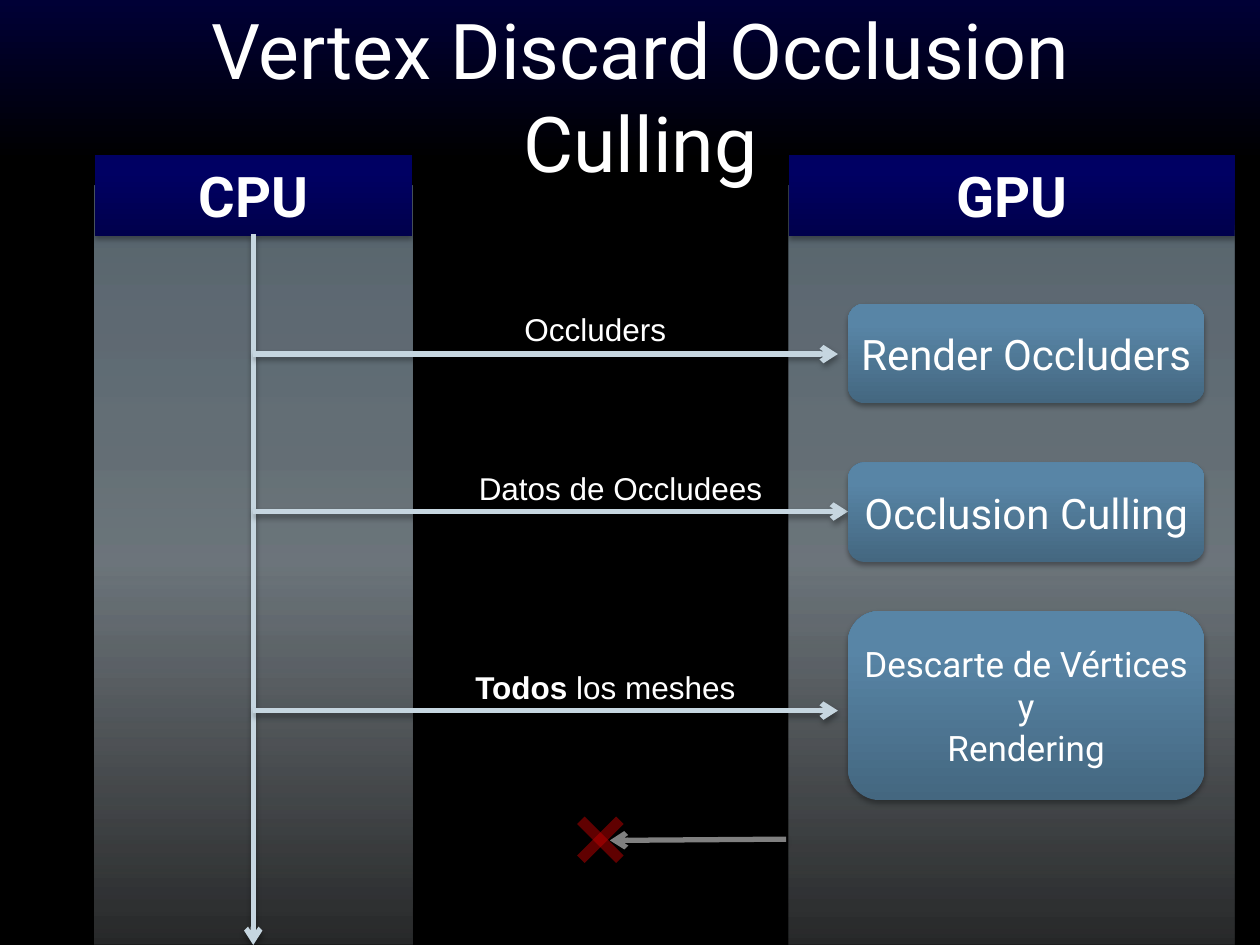
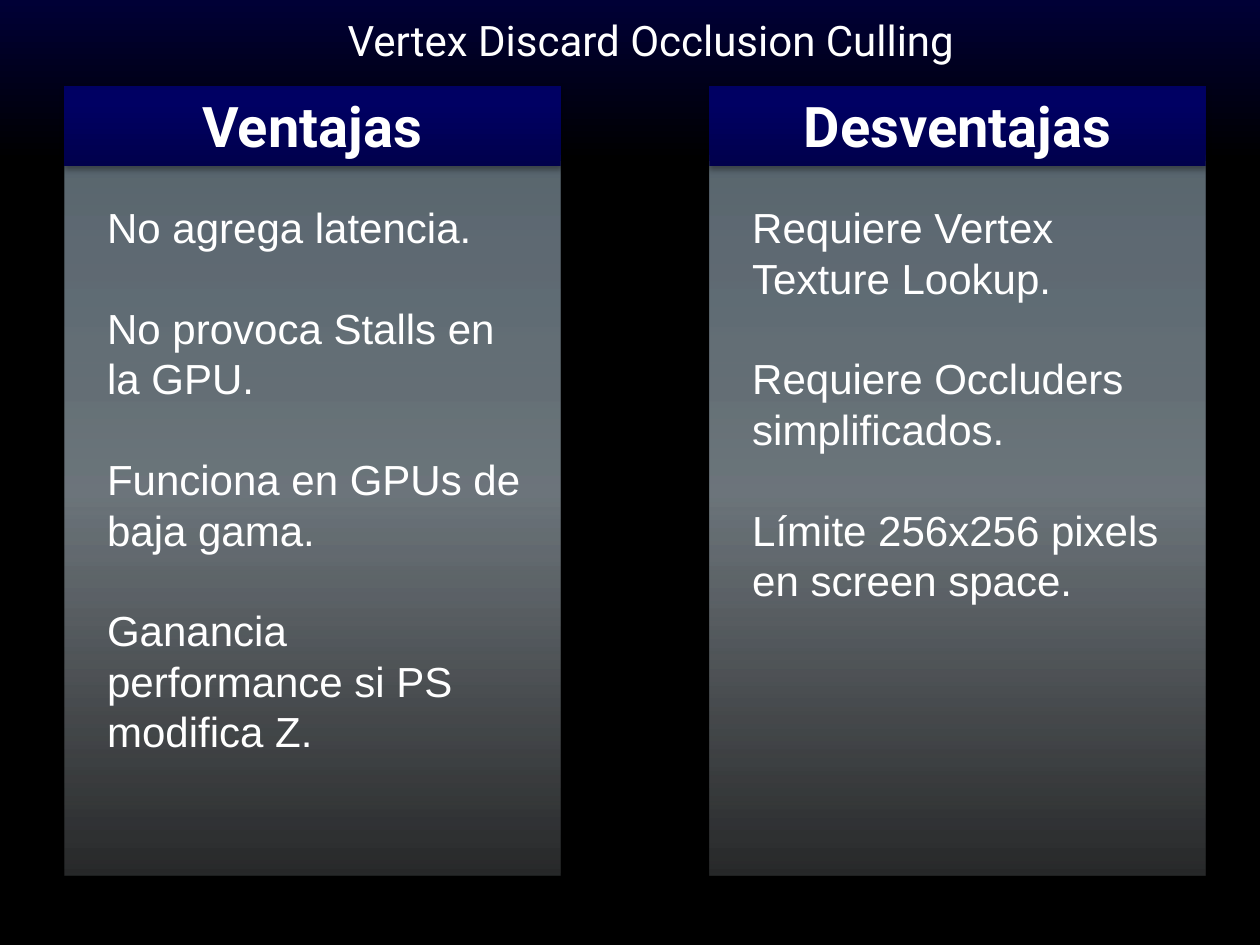
from dataclasses import dataclass

from lxml import etree
from pptx import Presentation
from pptx import util as u
from pptx.dml.color import RGBColor
from pptx.enum import shapes, text
from pptx.oxml import ns


@dataclass(frozen=True)
class Theme:
    white: str = "FFFFFF"
    arrow: str = "C6D6E0"
    cross: str = "C00000"
    shadow: str = "000000"
    background: tuple = ((0, "000036", 100), (17, "000000", 100), (100, "000000", 100))
    panel: tuple = ((0, "B6D3E6", 47), (50, "D1E2EE", 51), (100, "E8F0F6", 16))
    header: tuple = ((0, "00004C", 100), (80, "000063", 100), (100, "000063", 100))
    stage: tuple = ((0, "446780", 100), (80, "5885A6", 100), (100, "5786A8", 100))
    heading_font: str = "Roboto"
    body_font: str = "Arial"
    title_size: float = 44
    header_size: float = 32
    body_size: float = 24
    small_stage_size: float = 20
    label_size: float = 18
    line_pitch: float = 28.8


THEME = Theme()
TITLE = "Vertex Discard Occlusion Culling"
DOWN, UP = 90, 270


def child(parent, tag, **attributes):
    element = etree.SubElement(parent, ns.qn(tag))
    for name, value in attributes.items():
        element.set(name, str(value))
    return element


def add_color(parent, color, opacity=100):
    color_element = child(parent, "a:srgbClr", val=color)
    if opacity < 100:
        child(color_element, "a:alpha", val=opacity * 1000)


def set_gradient(fill, properties, stops, angle):
    fill.solid()
    solid = properties.find(ns.qn("a:solidFill"))
    gradient = etree.Element(ns.qn("a:gradFill"), rotWithShape="1")
    stop_list = child(gradient, "a:gsLst")
    for position, color, opacity in stops:
        add_color(child(stop_list, "a:gs", pos=position * 1000), color, opacity)
    child(gradient, "a:lin", ang=angle * 60000, scaled=0)
    properties.replace(solid, gradient)


def set_effects(properties, shadow):
    effects = child(properties, "a:effectLst")
    if shadow:
        outer = child(effects, "a:outerShdw", blurRad=u.Pt(3.1), dist=u.Pt(1.8),
                      dir=DOWN * 60000, rotWithShape=0)
        add_color(outer, THEME.shadow, 35)


def format_runs(paragraph, font, size, bold=False):
    for run in paragraph.runs:
        run.font.name = font
        run.font.size = u.Pt(size)
        run.font.bold = bold
        run.font.color.rgb = RGBColor.from_string(THEME.white)


def place(shape, left, top, width, height):
    shape.left, shape.top = u.Inches(left), u.Inches(top)
    shape.width, shape.height = u.Inches(width), u.Inches(height)


def set_title(slide, left, top, size):
    title = slide.shapes.title
    place(title, left, top, 8.67, 1.17)
    frame = title.text_frame
    frame.text = TITLE
    frame.auto_size = text.MSO_AUTO_SIZE.NONE
    frame.vertical_anchor = text.MSO_ANCHOR.MIDDLE
    frame.paragraphs[0].alignment = text.PP_ALIGN.CENTER
    format_runs(frame.paragraphs[0], THEME.heading_font, size)


def add_block(slide, kind, box, stops, angle, shadow=True):
    shape = slide.shapes.add_shape(kind, *map(u.Inches, box))
    properties = shape.element.spPr
    set_gradient(shape.fill, properties, stops, angle)
    shape.line.fill.background()
    set_effects(properties, shadow)
    return shape


def write_centered(shape, wording, size, anchor, wrap, bold=False):
    frame = shape.text_frame
    frame.text = wording
    frame.word_wrap = wrap
    frame.vertical_anchor = anchor
    for paragraph in frame.paragraphs:
        paragraph.alignment = text.PP_ALIGN.CENTER
        format_runs(paragraph, THEME.heading_font, size, bold)


def add_column(slide, left, top, width, heading):
    rectangle = shapes.MSO_SHAPE.RECTANGLE
    add_block(slide, rectangle, (left, top + 0.24, width, 6.03), THEME.panel, DOWN, shadow=False)
    header = add_block(slide, rectangle, (left, top, width, 0.64), THEME.header, UP)
    write_centered(header, heading, THEME.header_size, text.MSO_ANCHOR.TOP, True, bold=True)


def add_stage(slide, top, height, wording, size):
    stage = add_block(slide, shapes.MSO_SHAPE.ROUNDED_RECTANGLE,
                      (6.73, top, 2.83, height), THEME.stage, UP)
    write_centered(stage, wording, size, text.MSO_ANCHOR.MIDDLE, False)


def add_line(slide, start, end, color, width=3, opacity=100, arrow=True):
    connector = slide.shapes.add_connector(
        shapes.MSO_CONNECTOR.STRAIGHT, *map(u.Inches, start + end))
    connector.line.width = u.Pt(width)
    connector.line.color.rgb = RGBColor.from_string(color)
    properties = connector.element.spPr
    line = properties.find(ns.qn("a:ln"))
    if opacity < 100:
        child(line.find(".//" + ns.qn("a:srgbClr")), "a:alpha", val=opacity * 1000)
    if arrow:
        child(line, "a:tailEnd", type="arrow")
    set_effects(properties, shadow=arrow)


def add_label(slide, left, top, width, wording, bold_start=""):
    label = slide.shapes.add_textbox(*map(u.Inches, (left, top, width, 0.4)))
    frame = label.text_frame
    frame.word_wrap = True
    paragraph = frame.paragraphs[0]
    paragraph.alignment = text.PP_ALIGN.CENTER
    for part in filter(None, (bold_start, wording)):
        paragraph.add_run().text = part
    format_runs(paragraph, THEME.body_font, THEME.label_size)
    if bold_start:
        paragraph.runs[0].font.bold = True


def fill_list(body, box, items):
    place(body, *box)
    body.element.getparent().append(body.element)
    frame = body.text_frame
    frame.text = "\n".join(items)
    frame.auto_size = text.MSO_AUTO_SIZE.NONE
    for index, paragraph in enumerate(frame.paragraphs):
        properties = paragraph._p.get_or_add_pPr()
        properties.set("marL", "0")
        properties.set("indent", "0")
        child(properties, "a:buNone")
        paragraph.line_spacing = u.Pt(THEME.line_pitch)
        paragraph.space_before = u.Pt(THEME.line_pitch if index else 0)
        format_runs(paragraph, THEME.body_font, THEME.body_size)


def build_pipeline(presentation):
    slide = presentation.slides.add_slide(presentation.slide_layouts[5])
    set_title(slide, 0.75, 0.17, THEME.title_size)
    add_column(slide, 0.75, 1.23, 2.52, "CPU")
    add_column(slide, 6.26, 1.23, 3.54, "GPU")

    timeline = 2.01
    add_line(slide, (timeline, 1.86), (timeline, 7.5), THEME.arrow)
    for arrow_y, arrow_end in ((2.81, 6.65), (4.06, 6.73), (5.64, 6.65)):
        add_line(slide, (timeline, arrow_y), (arrow_end, arrow_y), THEME.arrow)

    add_label(slide, 3.82, 2.41, 1.81, "Occluders")
    add_label(slide, 3.35, 3.67, 3.15, "Datos de Occludees")
    add_label(slide, 3.11, 5.25, 3.39, " los meshes", bold_start="Todos")

    add_stage(slide, 2.41, 0.79, "Render Occluders", THEME.body_size)
    add_stage(slide, 3.67, 0.79, "Occlusion Culling", THEME.body_size)
    add_stage(slide, 4.85, 1.5, "Descarte de Vértices\ny\nRendering", THEME.small_stage_size)

    add_line(slide, (6.24, 6.66), (4.84, 6.67), THEME.white, opacity=50)
    for start_x, end_x in ((4.61, 4.92), (4.92, 4.61)):
        add_line(slide, (start_x, 6.82), (end_x, 6.51), THEME.cross,
                 width=6, opacity=50, arrow=False)


def build_comparison(presentation):
    slide = presentation.slides.add_slide(presentation.slide_layouts[3])
    set_title(slide, 0.83, -0.27, THEME.body_size)
    columns = (
        (0.51, "Ventajas", 5.35, (
            "No agrega latencia.",
            "No provoca Stalls en la GPU.",
            "Funciona en GPUs de baja gama.",
            "Ganancia performance si PS modifica Z.")),
        (5.63, "Desventajas", 4.14, (
            "Requiere Vertex Texture Lookup.",
            "Requiere Occluders simplificados.",
            "Límite 256x256 pixels en screen space.")),
    )
    for index, (left, heading, height, items) in enumerate(columns, start=1):
        add_column(slide, left, 0.68, 3.94, heading)
        fill_list(slide.placeholders[index], (left + 0.24, 1.55, 3.54, height), items)


def main():
    presentation = Presentation()
    presentation.slide_width, presentation.slide_height = u.Inches(10), u.Inches(7.5)
    master = presentation.slide_master
    fill = master.background.fill
    fill.solid()
    background = master.element.find(".//" + ns.qn("p:bgPr"))
    set_gradient(fill, background, THEME.background, DOWN)
    build_pipeline(presentation)
    build_comparison(presentation)
    presentation.save("out.pptx")


if __name__ == "__main__":
    main()
